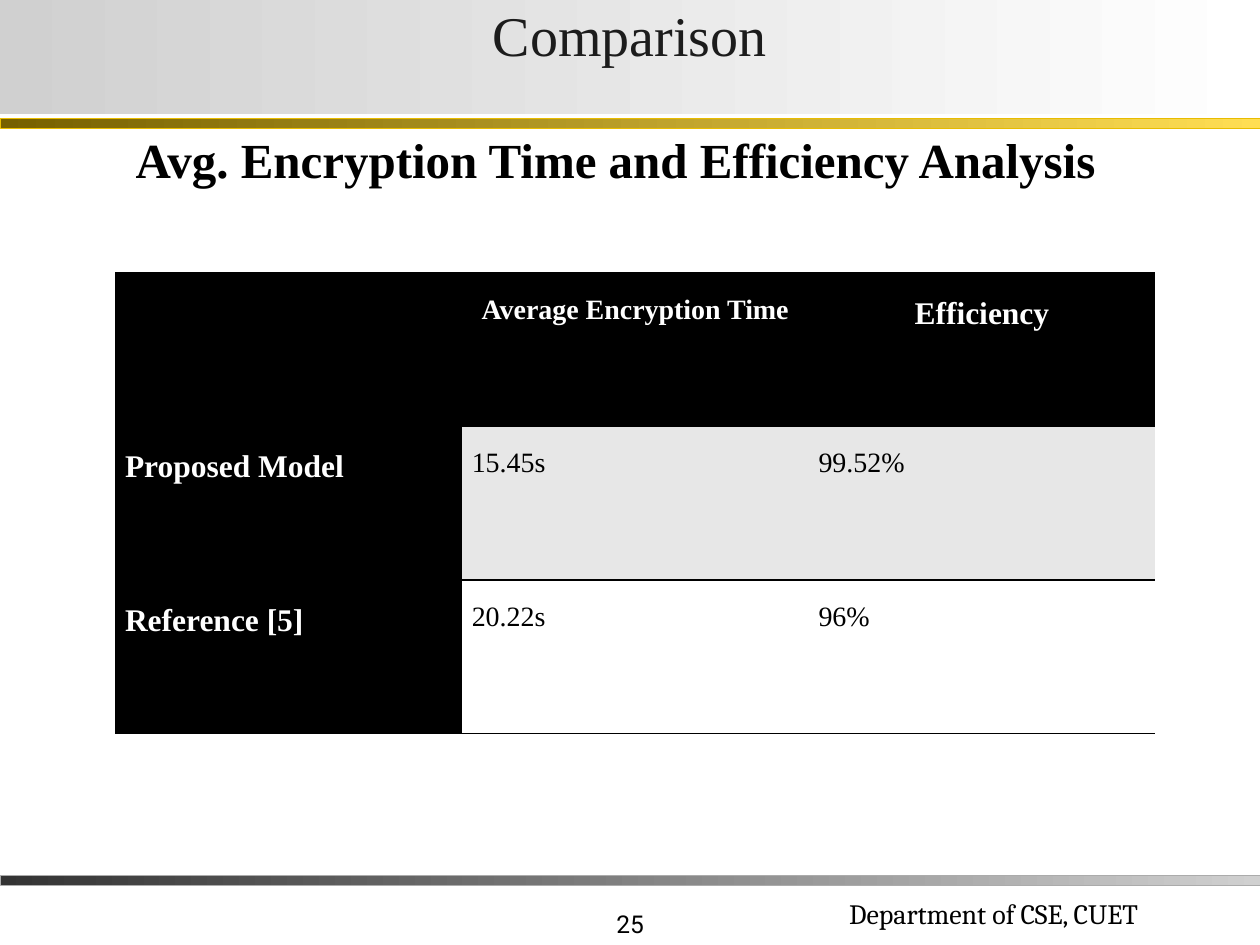
from dataclasses import dataclass

from lxml import etree
from pptx import Presentation
from pptx.dml.color import RGBColor
from pptx.enum import shapes, text
from pptx.oxml import ns
from pptx.util import Cm, Pt


@dataclass(frozen=True)
class Theme:
    serif: str = "Times New Roman"
    black: str = "000000"
    white: str = "FFFFFF"
    title_ink: str = "1C1C1C"
    band: str = "E7E7E7"
    silver: str = "D0D0D0"
    charcoal: str = "333333"
    grey_line: str = "ABABAB"
    gold: str = "FFDE53"
    dark_gold: str = "766000"
    gold_line: str = "E8BC00"
    title: int = 32
    heading: int = 28
    label: int = 18
    body: int = 16
    number: int = 14


T = Theme()
ALIGN = text.PP_ALIGN


def write(tf, words, size, color, align, font=T.serif, bold=False, spacing=1.0):
    p = tf.paragraphs[0]
    p.alignment, p.line_spacing = align, spacing
    r = p.add_run()
    r.text = words
    r.font.name, r.font.size, r.font.bold = font, Pt(size), bold
    r.font.color.rgb = RGBColor.from_string(color)


def add_gradient_bar(top, height, right, left, line):
    """Add a full-width bar that fades from the left colour to the right one."""
    sp = s.shapes.add_shape(shapes.MSO_SHAPE.RECTANGLE, 0, top, prs.slide_width, height)
    sp.shadow.inherit = False
    sp.fill.gradient()
    sp.fill.gradient_angle = 180
    for stop, color in zip(sp.fill.gradient_stops, (right, left)):
        stop.color.rgb = RGBColor.from_string(color)
    if line:
        sp.line.color.rgb = RGBColor.from_string(line)
        sp.line.width = Pt(0.25)
    else:
        sp.line.fill.background()
    return sp


prs = Presentation()
prs.slide_width, prs.slide_height = Cm(25.4), Cm(19.05)
s = prs.slides.add_slide(prs.slide_layouts[6])

# Bars and title
add_gradient_bar(Cm(17.65), Cm(0.2), T.silver, T.charcoal, T.grey_line)
add_gradient_bar(Cm(2.39), Cm(0.2), T.gold, T.dark_gold, T.gold_line)
header = add_gradient_bar(0, Cm(2.31), T.white, T.silver, None)
header.text_frame.vertical_anchor = text.MSO_ANCHOR.TOP
write(header.text_frame, "Comparison", T.title, T.title_ink, ALIGN.CENTER, spacing=0.93)

# Heading and footer
TOP, BOTTOM = text.MSO_ANCHOR.TOP, text.MSO_ANCHOR.BOTTOM
for words, box, anchor, size, align, font, bold, spacing in (
    ("25", (7.95, 17.78, 5.28, 1.27), BOTTOM, T.number, ALIGN.RIGHT, "Roboto", False, 1.0),
    ("Department of CSE, CUET", (16.87, 17.27, 8.74, 1.6), BOTTOM, T.body, ALIGN.LEFT,
     "Cambria", False, 1.0),
    ("Avg. Encryption Time and Efficiency Analysis", (0.41, 2.59, 24, 15.19), TOP,
     T.heading, ALIGN.CENTER, T.serif, True, 0.93),
):
    tf = s.shapes.add_textbox(*map(Cm, box)).text_frame
    tf.word_wrap = True
    tf.vertical_anchor = anchor
    write(tf, words, size, T.black, align, font, bold, spacing)

# Comparison table
rows = (
    ("", "Average Encryption Time", "Efficiency"),
    ("Proposed Model", "15.45s", "99.52%"),
    ("Reference [5]", "20.22s", "96%"),
)
row_fills = (T.black, T.band, T.white)
row_borders = (("lnT", "lnB"), ("lnT",), ("lnB",))
frame = s.shapes.add_table(3, 3, Cm(2.32), Cm(5.49), Cm(20.97), Cm(9.3))
table = frame.table
table.first_row = table.horz_banding = False
NO_STYLE = "{2D5ABB26-0587-4C30-8999-92F81FD0307C}"
next(frame.element.iter(ns.qn("a:tableStyleId"))).text = NO_STYLE
for column in table.columns:
    column.width = Cm(6.99)
for i, values in enumerate(rows):
    table.rows[i].height = Cm(3.1)
    for j, value in enumerate(values):
        cell = table.cell(i, j)
        is_label = i == 0 or j == 0
        cell.margin_left = cell.margin_right = Cm(0.2)
        cell.fill.solid()
        cell.fill.fore_color.rgb = RGBColor.from_string(T.black if is_label else row_fills[i])
        if value:
            small = not is_label or (i, j) == (0, 1)
            write(cell.text_frame, value, T.body if small else T.label,
                  T.white if is_label else T.black,
                  ALIGN.CENTER if i == 0 else ALIGN.JUSTIFY, bold=is_label, spacing=1.5)
        tcPr = cell._tc.get_or_add_tcPr()
        for k, side in enumerate(row_borders[i]):
            ln = etree.Element(ns.qn(f"a:{side}"), w=str(Pt(0.96)))
            fill = etree.SubElement(ln, ns.qn("a:solidFill"))
            etree.SubElement(fill, ns.qn("a:srgbClr"), val=T.black)
            tcPr.insert(k, ln)

prs.save("out.pptx")
